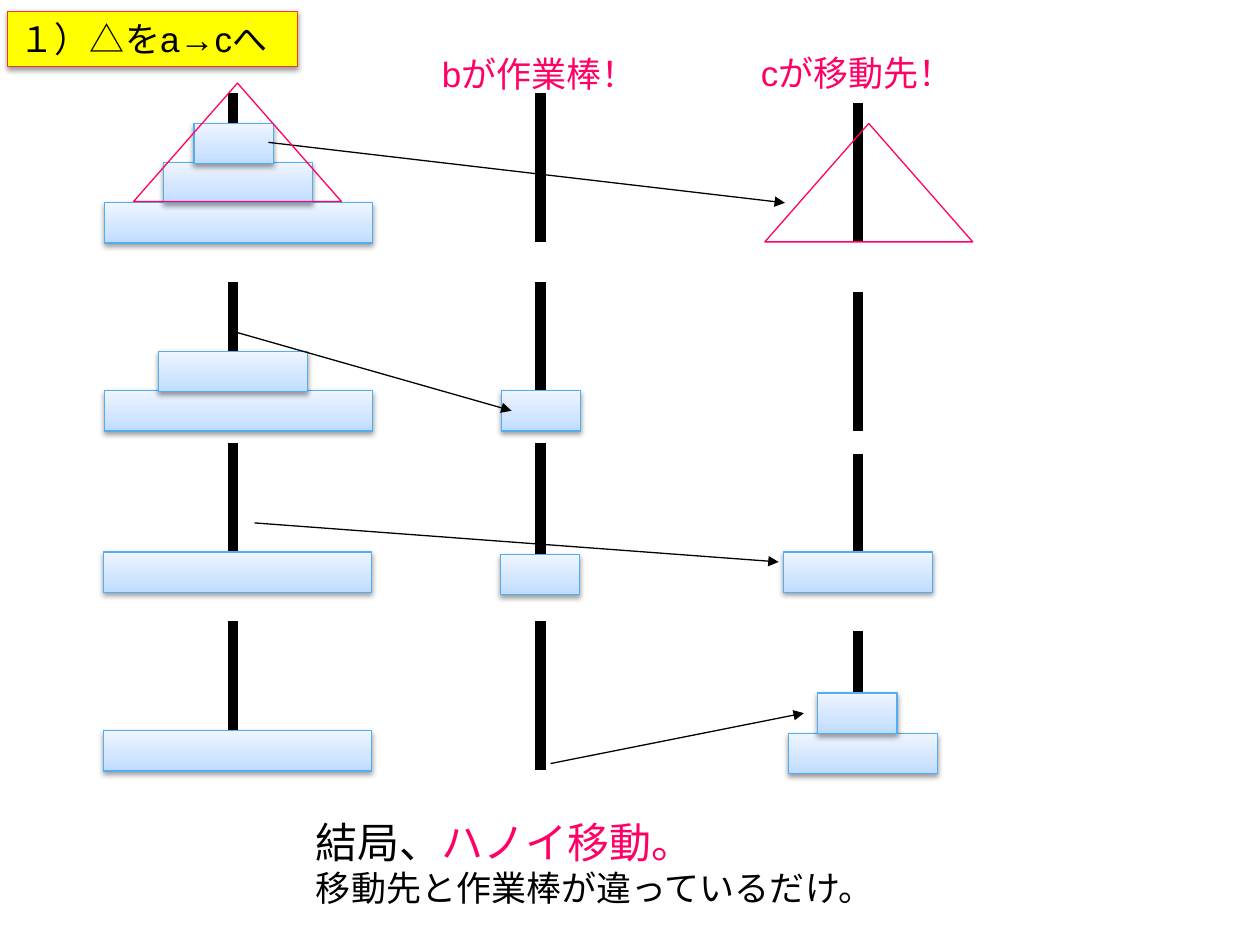
from copy import deepcopy
from lxml.etree import SubElement
from pptx import Presentation
from pptx.dml.color import RGBColor
from pptx.enum.shapes import MSO_CONNECTOR, MSO_SHAPE
from pptx.enum.text import MSO_ANCHOR, PP_ALIGN
from pptx.oxml.ns import qn
from pptx.util import Inches, Pt

BLACK = RGBColor(0x00, 0x00, 0x00)
PINK = RGBColor(0xFF, 0x00, 0x66)
YELLOW = RGBColor(0xFF, 0xFF, 0x00)
RED = RGBColor(0xF1, 0x3C, 0x1E)
BLUE = RGBColor(0x52, 0xAD, 0xF2)
SHADES = [
    (0, RGBColor(0xBE, 0xDC, 0xFF)),
    (0.35, RGBColor(0xD1, 0xE5, 0xFF)),
    (1, RGBColor(0xEE, 0xF5, 0xFF)),
]

SMALL, MID, LARGE = 0.63, 1.18, 2.13
THICK = 0.32
TALL = 1.18
POLES = [(1.85, 0), (4.29, 0), (6.81, 0.08)]

ROWS = [
    (0.74, [(LARGE, 0.83, 0.87), (MID, 1.3, 0.55), (SMALL, 1.54, 0.24)],
     (2.13, 0.39, 6.23, 0.87)),
    (2.24, [(LARGE, 0.83, 0.86), (SMALL, 3.98, 0.86), (MID, 1.26, 0.55)],
     (1.85, 0.39, 4.06, 1.02)),
    (3.52, [(LARGE, 0.82, 0.86), (MID, 6.22, 0.86), (SMALL, 3.97, 0.88)],
     (2.02, 0.63, 6.18, 0.94)),
    (4.93, [(LARGE, 0.82, 0.87), (MID, 6.26, 0.89), (SMALL, 6.49, 0.57)],
     (4.37, 1.13, 6.38, 0.73)),
]


def add_line(slide, x1, y1, x2, y2, width, arrow=False):
    """Draw a black straight line, with an arrowhead at its end if asked."""
    line = slide.shapes.add_connector(
        MSO_CONNECTOR.STRAIGHT, Inches(x1), Inches(y1), Inches(x2), Inches(y2))
    line.line.color.rgb = BLACK
    line.line.width = Pt(width)
    if arrow:
        SubElement(line.line._get_or_add_ln(), qn("a:tailEnd"), type="triangle")
    SubElement(line._element.spPr, qn("a:effectLst"))


def add_form(slide, kind, left, top, width, height, color):
    """Add a preset shape with a thin outline and no shadow."""
    form = slide.shapes.add_shape(
        kind, Inches(left), Inches(top), Inches(width), Inches(height))
    form.shadow.inherit = False
    form.line.color.rgb = color
    form.line.width = Pt(0.75)
    return form


def add_shade(form):
    """Give a shape a soft shadow that falls straight down."""
    effects = form._element.spPr.find(qn("a:effectLst"))
    outer = SubElement(
        effects, qn("a:outerShdw"), blurRad=str(Pt(3.1)), dist=str(Pt(1.6)),
        dir="5400000", rotWithShape="0")
    color = SubElement(outer, qn("a:srgbClr"), val=str(BLACK))
    SubElement(color, qn("a:alpha"), val="38000")


def add_disk(slide, left, top, width):
    """Add one disk with its blue gradient."""
    disk = add_form(slide, MSO_SHAPE.RECTANGLE, left, top, width, THICK, BLUE)
    disk.fill.gradient()
    disk.fill.gradient_angle = 90
    stops = disk._element.spPr.find(qn("a:gradFill")).find(qn("a:gsLst"))
    stops.append(deepcopy(stops[0]))
    for stop, (place, color) in zip(disk.fill.gradient_stops, SHADES):
        stop.position = place
        stop.color.rgb = color
    add_shade(disk)


def add_cone(slide, left, top):
    """Add the pink triangle that stands for a pile of disks."""
    cone = add_form(
        slide, MSO_SHAPE.ISOSCELES_TRIANGLE, left, top, 1.65, 0.94, PINK)
    cone.fill.background()


def add_row(slide, top, disks, arrow):
    """Draw one step: three poles, the disks and the move."""
    for x, drop in POLES:
        add_line(slide, x, top + drop, x, top + TALL, 6)
    for width, left, drop in disks:
        add_disk(slide, left, top + drop, width)
    x1, y1, x2, y2 = arrow
    add_line(slide, x1, top + y1, x2, top + y2, 0.75, arrow=True)


def write(frame, lines):
    """Fill a text frame with unwrapped lines of (text, size, color) runs."""
    frame.word_wrap = False
    frame.vertical_anchor = MSO_ANCHOR.TOP
    for i, line in enumerate(lines):
        para = frame.add_paragraph() if i else frame.paragraphs[0]
        para.alignment = PP_ALIGN.LEFT
        for text, size, color in line:
            run = para.add_run()
            run.text = text
            run.font.name = "Arial"
            run.font.size = Pt(size)
            run.font.color.rgb = color


def add_note(slide, left, top, width, height, lines):
    """Add a plain text box."""
    box = slide.shapes.add_textbox(
        Inches(left), Inches(top), Inches(width), Inches(height))
    write(box.text_frame, lines)


def add_title(slide, left, top, width, height):
    """Add the yellow heading."""
    title = add_form(
        slide, MSO_SHAPE.RECTANGLE, left, top, width, height, RED)
    title.fill.solid()
    title.fill.fore_color.rgb = YELLOW
    add_shade(title)
    write(title.text_frame, [[("１）△をa→cへ", 20, BLACK)]])


def main():
    """Build the slide and save it."""
    deck = Presentation()
    deck.slide_width, deck.slide_height = Inches(10), Inches(7.5)
    slide = deck.slides.add_slide(deck.slide_layouts[6])
    for top, disks, arrow in ROWS:
        add_row(slide, top, disks, arrow)
    add_cone(slide, 1.06, 0.66)
    add_cone(slide, 6.07, 0.98)
    add_note(slide, 3.41, 0.37, 1.76, 0.44, [[("bが作業棒！", 20, PINK)]])
    add_note(slide, 5.94, 0.36, 1.74, 0.44, [[("cが移動先！", 20, PINK)]])
    add_note(slide, 2.41, 6.43, 4.36, 0.84, [
        [("結局、", 24, BLACK), ("ハノイ移動。", 24, PINK)],
        [("移動先と作業棒が違っているだけ。", 20, BLACK)],
    ])
    add_title(slide, 0.06, 0.09, 2.3, 0.44)
    deck.save("out.pptx")


if __name__ == "__main__":
    main()
